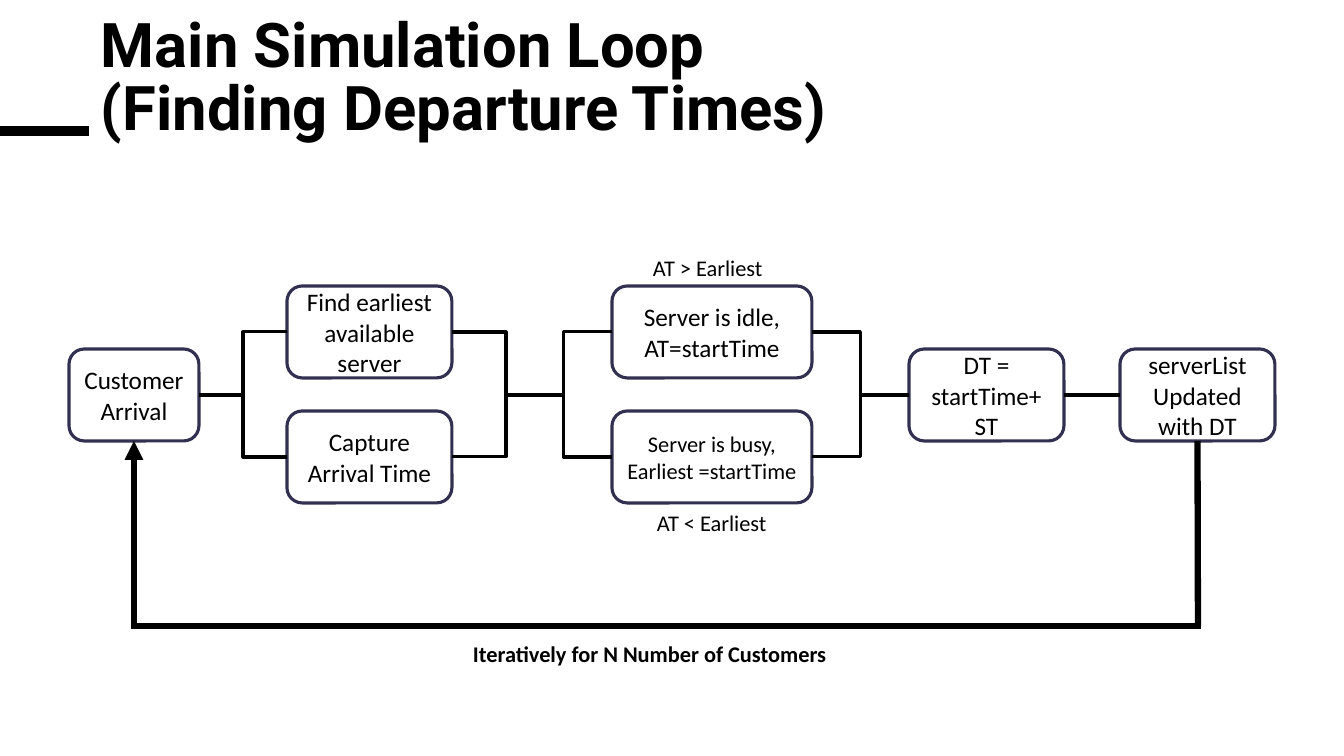
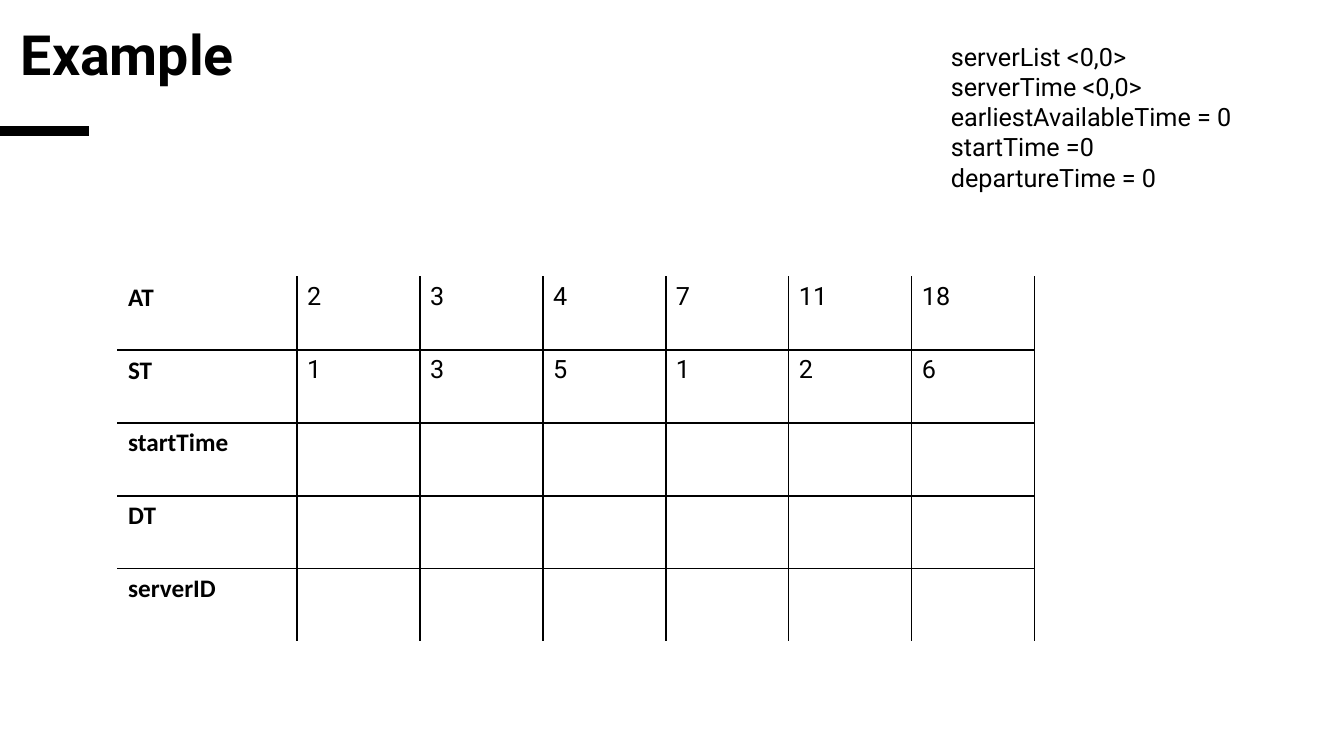
"""Builds two slides: a queue simulation loop diagram and an example table."""
from lxml import etree
from pptx import Presentation
from pptx import util as u
from pptx.dml.color import RGBColor
from pptx.enum import shapes, text
from pptx.oxml.ns import qn

PX = 9072
BLACK, WHITE, OUTLINE = "000000", "FFFFFF", "323050"
HEAD, BODY = "Roboto", "Calibri"
STRAIGHT, ELBOW = shapes.MSO_CONNECTOR.STRAIGHT, shapes.MSO_CONNECTOR.ELBOW
MIDDLE = text.MSO_ANCHOR.MIDDLE


def write(tf, lines, size, font=BODY, bold=False, align=None, spacing=None):
    """Fill a text frame with one paragraph per line."""
    for i, line in enumerate(lines):
        p = tf.add_paragraph() if i else tf.paragraphs[0]
        p.alignment = align
        p.line_spacing = spacing
        for j, part in enumerate(line.split("\n")):
            if j:
                p.add_line_break()
            r = p.add_run()
            r.text = part
            r.font.size = u.Pt(size)
            r.font.name = font
            r.font.bold = bold
            r.font.color.rgb = RGBColor.from_string(BLACK)


def connect(s, kind, x1, y1, x2, y2, width=2.25):
    """Draw a black connector without a shadow."""
    c = s.shapes.add_connector(kind, x1 * PX, y1 * PX, x2 * PX, y2 * PX)
    c.line.color.rgb = RGBColor.from_string(BLACK)
    c.line.width = u.Pt(width)
    etree.SubElement(c._element.spPr, qn("a:effectLst"))
    return c


prs = Presentation()
prs.slide_width, prs.slide_height = 1344 * PX, 756 * PX

slides = []
for title, x, y, h, size in [
    ("Main Simulation Loop \n(Finding Departure Times)", 91, 9, 143, 44),
    ("Example", 11, 23, 72, 39.6),
]:
    s = prs.slides.add_slide(prs.slide_layouts[6])
    connect(s, STRAIGHT, 0, 131, 89, 131, 6.75)
    tf = s.shapes.add_textbox(x * PX, y * PX, 1094 * PX, h * PX).text_frame
    tf.word_wrap = True
    tf.vertical_anchor = MIDDLE
    write(tf, [title], size, HEAD, True, spacing=0.85)
    slides.append(s)
loop, example = slides

BOX_H = 92
UPPER, CENTER, LOWER = 332, 395, 457
boxes = {}
for name, label, x, mid, w, size in [
    ("arrival", "Customer Arrival", 69, CENTER, 130, 18),
    ("find", "Find earliest available server", 287, UPPER, 165, 18),
    ("capture", "Capture Arrival Time", 287, LOWER, 165, 18),
    ("idle", "Server is idle, AT=startTime", 612, UPPER, 200, 18),
    ("busy", "Server is busy, Earliest =startTime", 612, LOWER, 200, 16),
    ("departure", "DT = startTime+ ST", 909, CENTER, 155, 18),
    ("update", "serverList Updated with DT", 1120, CENTER, 155, 18),
]:
    sp = loop.shapes.add_shape(shapes.MSO_SHAPE.ROUNDED_RECTANGLE, x * PX,
                               (mid - BOX_H // 2) * PX, w * PX, BOX_H * PX)
    sp.shadow.inherit = False
    sp.fill.solid()
    sp.fill.fore_color.rgb = RGBColor.from_string(WHITE)
    sp.line.color.rgb = RGBColor.from_string(OUTLINE)
    sp.line.width = u.Pt(2.25)
    sp.text_frame.word_wrap = True
    sp.text_frame.vertical_anchor = MIDDLE
    write(sp.text_frame, [label], size, align=text.PP_ALIGN.CENTER)
    boxes[name] = sp

for branch in (UPPER, LOWER):
    connect(loop, ELBOW, 199, CENTER, 287, branch)
    connect(loop, ELBOW, 452, branch, 560, CENTER)
    connect(loop, ELBOW, 515, CENTER, 612, branch)
    connect(loop, ELBOW, 812, branch, 909, CENTER)

step = connect(loop, STRAIGHT, 1064, CENTER, 1120, CENTER)
step.begin_connect(boxes["departure"], 3)
step.end_connect(boxes["update"], 1)

LOOP_Y, BOX_BOTTOM = 626, CENTER + BOX_H // 2
down = connect(loop, STRAIGHT, 1198, BOX_BOTTOM, 1198, LOOP_Y, 4.5)
down.begin_connect(boxes["update"], 0 + 2)
back = connect(loop, STRAIGHT, 1198, LOOP_Y, 134, LOOP_Y, 4.5)
back.line._get_or_add_ln().set("cap", "sq")
up = connect(loop, STRAIGHT, 134, LOOP_Y, 134, BOX_BOTTOM, 4.5)
up.end_connect(boxes["arrival"], 2)
etree.SubElement(up.line._get_or_add_ln(), qn("a:tailEnd"), type="triangle")

for label, x, y, w, bold in [
    ("AT > Earliest", 643, 249, 130, False),
    ("AT < Earliest", 647, 504, 130, False),
    ("Iteratively for N Number of Customers", 463, 635, 381, True),
]:
    tf = loop.shapes.add_textbox(x * PX, y * PX, w * PX, 37 * PX).text_frame
    tf.word_wrap = True
    write(tf, [label], 16, bold=bold)

tf = example.shapes.add_textbox(941 * PX, 36 * PX, 327 * PX, 163 * PX).text_frame
tf.word_wrap = True
write(tf, ["serverList <0,0>", "serverTime <0,0>", "earliestAvailableTime = 0",
           "startTime =0", "departureTime = 0"], 18, HEAD)

rows = [
    ["AT", "2", "3", "4", "7", "11", "18"],
    ["ST", "1", "3", "5", "1", "2", "6"],
    ["startTime"] + [""] * 6,
    ["DT"] + [""] * 6,
    ["serverID"] + [""] * 6,
]
widths = [179] + [123] * 6
ROW_H = 73
table = example.shapes.add_table(len(rows), len(widths), 118 * PX, 277 * PX,
                                 sum(widths) * PX, len(rows) * ROW_H * PX).table
table.first_row = table.horz_banding = False
for col, w in zip(table.columns, widths):
    col.width = w * PX
for i, values in enumerate(rows):
    table.rows[i].height = ROW_H * PX
    for j, value in enumerate(values):
        cell = table.cell(i, j)
        if value:
            write(cell.text_frame, [value], 18, HEAD if j else BODY, j == 0)
        tcPr = cell._tc.get_or_add_tcPr()
        for side, outer in [("L", j == 0), ("R", False),
                            ("T", i == 0), ("B", i == len(rows) - 1)]:
            ln = etree.SubElement(tcPr, qn("a:ln" + side), w=str(u.Pt(1)))
            fill = etree.SubElement(ln, qn("a:solidFill"))
            etree.SubElement(fill, qn("a:srgbClr"), val=WHITE if outer else BLACK)
        cell.fill.background()

prs.save("out.pptx")
